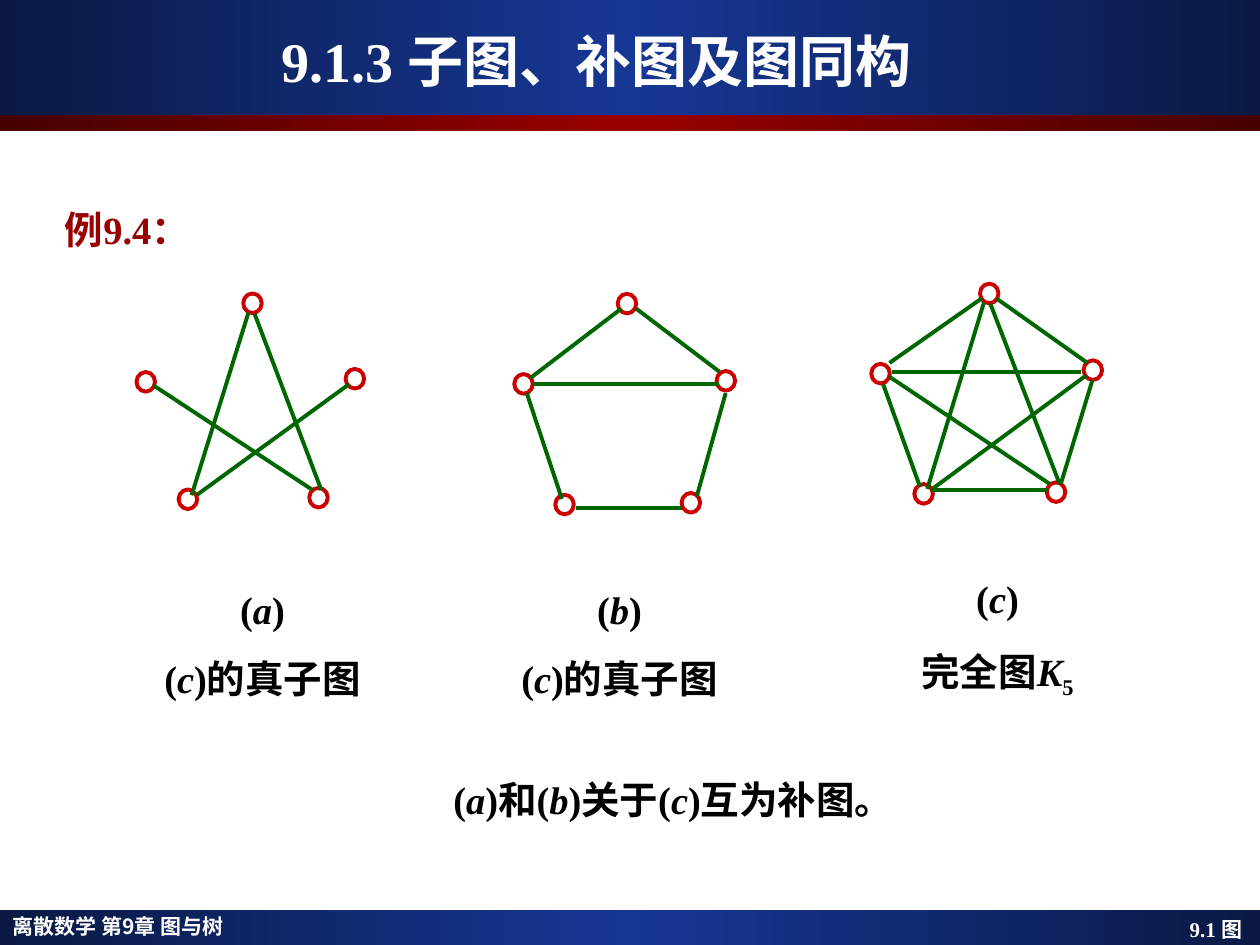
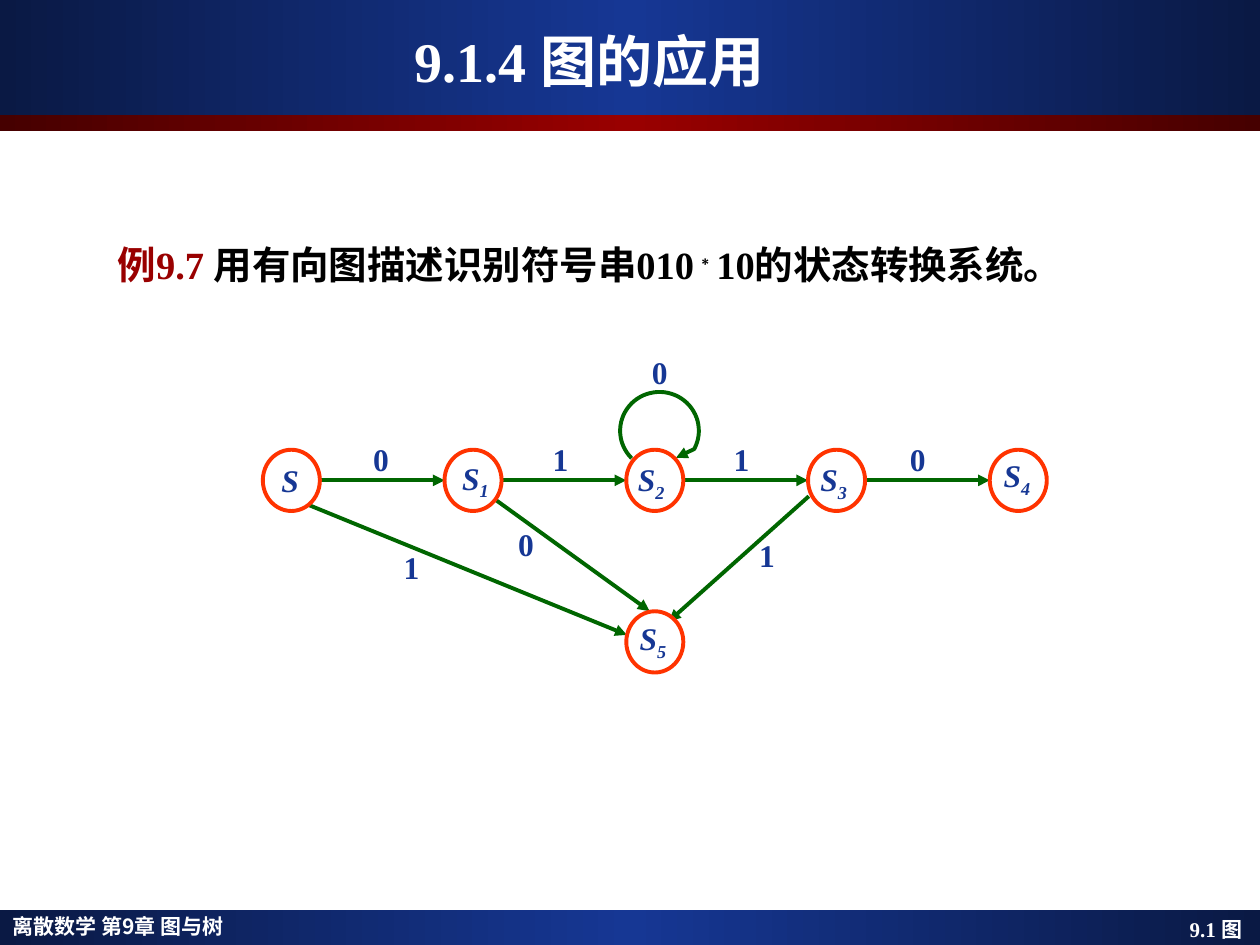
import math
from dataclasses import dataclass

from lxml import etree
from pptx import Presentation
from pptx.dml.color import RGBColor
from pptx.enum import shapes, text
from pptx.oxml import ns
from pptx.util import Pt


@dataclass(frozen=True)
class Theme:
    navy: str = "0A1944"
    blue: str = "163794"
    maroon: str = "460000"
    red: str = "990000"
    vertex: str = "CC0000"
    state: str = "FF3300"
    edge: str = "006600"
    white: str = "FFFFFF"
    black: str = "000000"
    serif: str = "Times New Roman"
    sans: str = "Arial"
    chinese: str = "Noto Sans CJK JP"
    title_size: float = 32
    body_size: float = 22
    label_size: float = 18
    footer_size: float = 12
    stroke: float = 2.25


THEME = Theme()
SLIDE_WIDTH, SLIDE_HEIGHT = 720, 540
TITLE_BOX = (24, 12, 666, 45)
BODY_INDENT = 27
CENTER, RIGHT = text.PP_ALIGN.CENTER, text.PP_ALIGN.RIGHT


def rgb(color):
    return RGBColor.from_string(color)


def place(shape, box):
    shape.left, shape.top, shape.width, shape.height = map(Pt, box)


def add_arrowhead(line):
    line.get_or_change_to_solidFill()
    etree.SubElement(line, ns.qn("a:tailEnd"), type="triangle")


def write(frame, paragraphs, size, color, *, font=THEME.serif, align=None,
          spacing=1.0, hanging=False):
    """Fill a frame; a run is (words, {italic, base, color, font})."""
    frame.word_wrap = True
    for number, runs in enumerate(paragraphs):
        paragraph = frame.paragraphs[0] if number == 0 else frame.add_paragraph()
        props = paragraph._p.get_or_add_pPr()
        indent = Pt(BODY_INDENT) if hanging else 0
        props.set("marL", str(indent))
        props.set("indent", str(-indent))
        etree.SubElement(props, ns.qn("a:buNone"))
        paragraph.alignment = align or text.PP_ALIGN.LEFT
        paragraph.line_spacing = spacing
        paragraph.space_before = Pt(0)
        for words, style in runs:
            run = paragraph.add_run()
            run.text = words
            run.font.size, run.font.bold = Pt(size), True
            run.font.italic = style.get("italic", False)
            run.font.color.rgb = rgb(style.get("color", color))
            run.font.name = style.get("font", font)
            run_props = run.font._element
            etree.SubElement(run_props, ns.qn("a:ea"), typeface=THEME.chinese)
            if "base" in style:
                run_props.set("baseline", str(style["base"] * 1000))


def plain(words):
    return (words, {})


def italic(words):
    return (words, {"italic": True})


def sub(words, slanted=False):
    return (words, {"italic": slanted, "base": -25})


def add_text(slide, box, paragraphs, size, color, **layout):
    frame = slide.shapes.add_textbox(*map(Pt, box)).text_frame
    write(frame, paragraphs, size, color, **layout)
    return frame


def add_band(slide, top, height, edge, middle):
    band = slide.shapes.add_shape(shapes.MSO_SHAPE.RECTANGLE, 0, Pt(top),
                                  Pt(SLIDE_WIDTH), Pt(height))
    band.shadow.inherit = False
    band.line.fill.background()
    band.fill.gradient()
    band.fill.gradient_angle = 0
    stops = band.fill._fill._gradFill.find(ns.qn("a:gsLst"))
    for stop in list(stops):
        stops.remove(stop)
    for position, color in ((0, edge), (50, middle), (100, edge)):
        stop = etree.SubElement(stops, ns.qn("a:gs"), pos=str(position * 1000))
        etree.SubElement(stop, ns.qn("a:srgbClr"), val=color)


def add_circle(slide, box, color, filled=False):
    circle = slide.shapes.add_shape(shapes.MSO_SHAPE.OVAL, *map(Pt, box))
    circle.shadow.inherit = False
    circle.line.color.rgb = rgb(color)
    circle.line.width = Pt(THEME.stroke)
    if filled:
        circle.fill.solid()
        circle.fill.fore_color.rgb = rgb(THEME.white)
    else:
        circle.fill.background()


def add_edge(slide, start, end, arrow=False):
    edge = slide.shapes.add_connector(shapes.MSO_CONNECTOR.STRAIGHT,
                                      *map(Pt, (*start, *end)))
    edge.line.color.rgb = rgb(THEME.edge)
    edge.line.width = Pt(THEME.stroke)
    etree.SubElement(edge._element.spPr, ns.qn("a:effectLst"))
    if arrow:
        add_arrowhead(edge.line._get_or_add_ln())


def add_framed_slide(deck, layout, title, title_trim):
    """Add bands, footers and title; title_trim widens the title's right inset."""
    slide = deck.slides.add_slide(deck.slide_layouts[layout])
    add_band(slide, 520, 20, THEME.navy, THEME.blue)
    add_band(slide, 0, 65.5, THEME.navy, THEME.blue)
    add_band(slide, 65.5, 9.5, THEME.maroon, THEME.red)
    add_text(slide, (0, 520, 297, 20), [[plain("离散数学 第9章 图与树")]],
             THEME.footer_size, THEME.white, font=THEME.chinese, spacing=0.9)
    section = add_text(slide, (536, 520, 184, 21), [[plain("9.1 图")]],
                       THEME.footer_size, THEME.white, align=RIGHT)
    section.margin_right = Pt(10.2)
    heading = slide.shapes.title
    place(heading, TITLE_BOX)
    frame = heading.text_frame
    frame.vertical_anchor = text.MSO_ANCHOR.MIDDLE
    frame.margin_right = Pt(7.2 + title_trim)
    write(frame, [[plain(title)]], THEME.title_size, THEME.white, align=CENTER)
    # Bands lie beneath the placeholders.
    for holder in list(slide.placeholders):
        slide.shapes._spTree.append(holder._element)
    return slide


def add_graph(slide, left, top, vertices, edges):
    """Draw vertices by centre and edges by end points, relative to left, top."""
    width, height = 10.6, 11.2
    for x, y in vertices:
        add_circle(slide, (left + x - width / 2, top + y - height / 2, width, height),
                   THEME.vertex)
    for x1, y1, x2, y2 in edges:
        add_edge(slide, (left + x1, top + y1), (left + x2, top + y2))


def add_caption(slide, box, letter, description):
    add_text(slide, box, [[plain("("), italic(letter), plain(")")], description],
             THEME.body_size, THEME.black, align=CENTER, spacing=1.5)


def build_subgraphs(deck):
    slide = add_framed_slide(deck, 5, "9.1.3 子图、补图及图同构", 32)
    add_text(slide, (30, 114, 132, 36), [[plain("例9.4：")]],
             THEME.body_size, THEME.red, hanging=True)

    star = [(64, 10.6, 31.5, 115), (67.5, 11.3, 105.6, 112),
            (9.8, 52.3, 100.6, 112), (121.4, 51.6, 34.3, 115)]
    add_graph(slide, 78, 168,
              [(66.3, 5.3), (5.3, 50.2), (124.8, 48.4), (29.4, 117.3), (104, 116.4)], star)

    house = [(11.3, 51.6, 117.1, 51.6), (35, 122.2, 95.5, 122.2),
             (61, 8.4, 9.1, 48), (69.6, 8.4, 117.1, 44.4),
             (7, 56.6, 27.1, 117.1), (120.7, 56.6, 104.2, 115.6)]
    add_graph(slide, 294, 168,
              [(64.3, 5.5), (5.2, 51.4), (120.8, 49.6), (28.6, 120.3), (100.8, 119.3)], house)

    complete = [(64.3, 10.8, 31.9, 117.4), (67.9, 11.5, 107.5, 114.5),
                (10.3, 53.3, 101.8, 114.5), (122.6, 52.6, 34.8, 117.4),
                (11.8, 50.4, 119.8, 50.4), (62.9, 8.6, 10.3, 45.4),
                (71.5, 8.6, 123.4, 45.4), (6.7, 57.6, 27.6, 115.9),
                (34.1, 118.1, 100.3, 118.1), (126.2, 55.4, 108.2, 114.5)]
    add_graph(slide, 498, 162,
              [(67.3, 5.7), (5.2, 51.5), (126.5, 49.5), (29.8, 120.2), (105.5, 119.2)], complete)

    proper = [plain("("), italic("c"), plain(")的真子图")]
    add_caption(slide, (78, 318, 144, 86), "a", proper)
    add_caption(slide, (282, 318, 144, 86), "b", proper)
    add_caption(slide, (492, 312, 156, 92), "c", [plain("完全图"), italic("K"), sub("5")])
    conclusion = [plain("("), italic("a"), plain(")和("), italic("b"),
                  plain(")关于("), italic("c"), plain(")互为补图。")]
    add_text(slide, (252, 440, 396, 54), [conclusion], THEME.body_size, THEME.black)


def add_loop(slide, center_x, center_y):
    """Draw an arrow that circles clockwise from lower left to lower right."""
    radius_x, radius_y, start, end, steps = 22.5, 22.2, 135, 388, 48
    points = []
    for step in range(steps + 1):
        angle = math.radians(start + (end - start) * step / steps)
        points.append((Pt(center_x + radius_x * math.cos(angle)),
                       Pt(center_y + radius_y * math.sin(angle))))
    points.append((Pt(center_x + 9.4), Pt(center_y + 15.5)))
    builder = slide.shapes.build_freeform(*points[0])
    builder.add_line_segments(points[1:], close=False)
    loop = builder.convert_to_shape()
    loop.shadow.inherit = False
    loop.fill.background()
    loop.line.color.rgb = rgb(THEME.edge)
    loop.line.width = Pt(THEME.stroke)
    add_arrowhead(loop.line._get_or_add_ln())


def add_state_diagram(slide, left, top):
    width, height, pitch, sink_drop = 32.6, 35, 103.85, 92.3
    spots = [(left + pitch * i, top) for i in range(5)]
    spots.append((spots[2][0], top + sink_drop))
    slants = [((14, 26.6), (208, 105.8)), ((130.2, 26.6), (221, 92.2)),
              ((312, 26.6), (232, 98))]
    for (x1, y1), (x2, y2) in slants:
        add_edge(slide, (left + x1, top + y1), (left + x2, top + y2), arrow=True)
    middle = top + height / 2
    for (x1, _), (x2, _) in zip(spots[:4], spots[1:5]):
        add_edge(slide, (x1 + width, middle), (x2, middle), arrow=True)
    add_loop(slide, left + 226.7, top - 10.8)
    for x, y in spots:
        add_circle(slide, (x, y, width, height), THEME.state, filled=True)

    name_offsets = [(3.5, 2.8), (3, 1.5), (-0.5, 2.2), (0, 2.2), (0.8, 0), (0.5, 0.9)]
    for i, ((x, y), (dx, dy)) in enumerate(zip(spots, name_offsets)):
        name = [italic("S")] + ([sub(str(i), slanted=True)] if i else [])
        add_text(slide, (x + dx, y + dy, 39, 32), [name], THEME.label_size, THEME.blue)

    inputs = [("0", 56, -9.4), ("1", 158.5, -9.4), ("0", 215.2, -59),
              ("1", 262, -9.4), ("0", 362.7, -9.4), ("1", 73.4, 52.5),
              ("0", 138.8, 39.6), ("1", 276.5, 46)]
    for symbol, x, y in inputs:
        add_text(slide, (left + x, top + y, 24.5, 29), [[plain(symbol)]],
                 THEME.label_size, THEME.blue)


def build_applications(deck):
    slide = add_framed_slide(deck, 1, "9.1.4 图的应用", 40)
    example = slide.placeholders[1]
    place(example, (60, 134, 641, 45))
    statement = [("例9.7 ", {"color": THEME.red}), plain("用有向图描述识别符号串010"),
                 ("∗", {"font": THEME.sans, "base": 30}), plain("10的状态转换系统。")]
    write(example.text_frame, [statement], THEME.body_size, THEME.black, hanging=True)
    add_state_diagram(slide, 150.2, 257)


def main():
    deck = Presentation()
    deck.slide_width, deck.slide_height = Pt(SLIDE_WIDTH), Pt(SLIDE_HEIGHT)
    build_subgraphs(deck)
    build_applications(deck)
    deck.save("out.pptx")


if __name__ == "__main__":
    main()
